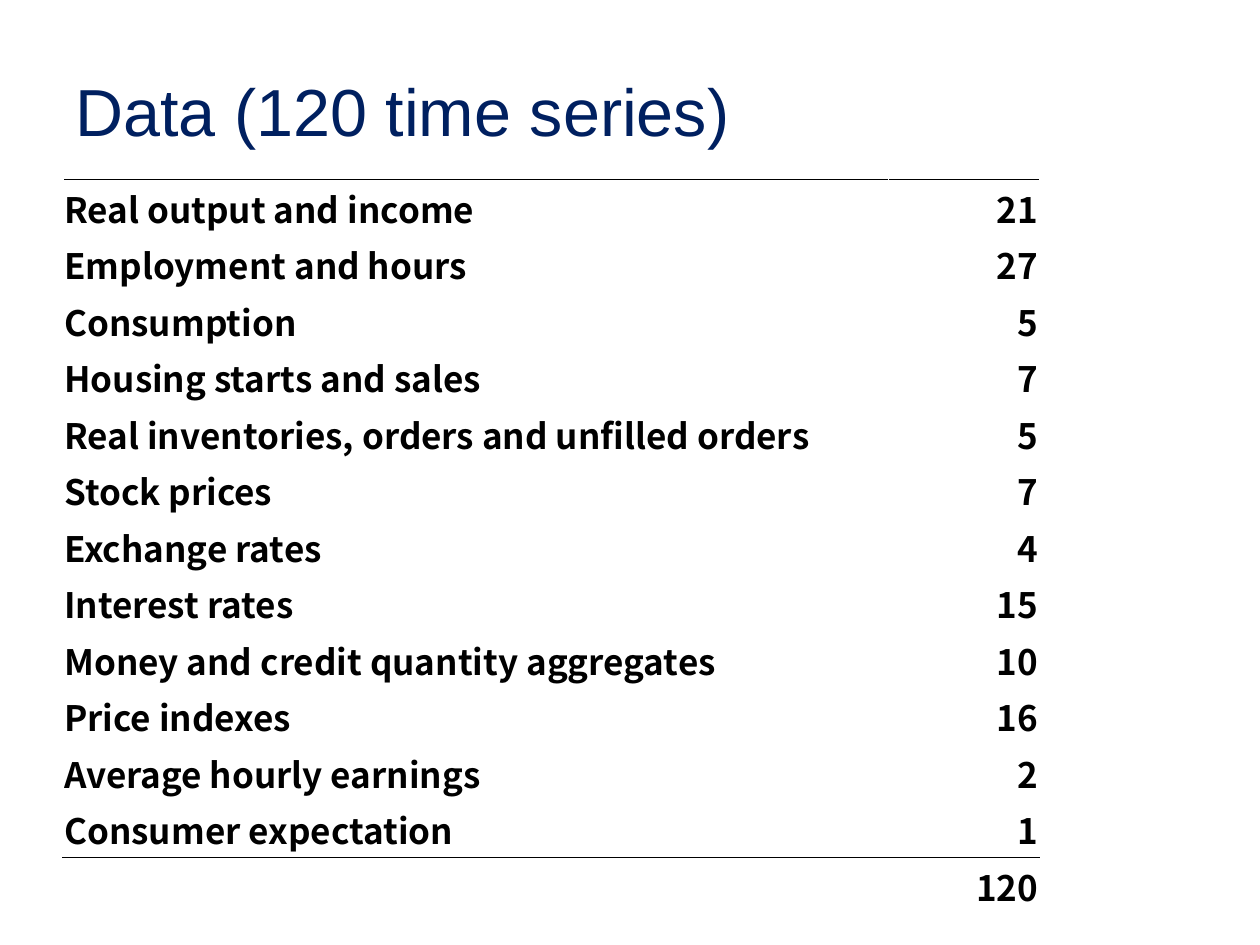
from dataclasses import dataclass

from lxml import etree
from pptx import Presentation
from pptx.dml.color import RGBColor
from pptx.enum import text
from pptx.oxml import ns
from pptx.util import Inches, Pt


@dataclass(frozen=True)
class Theme:
    """Colours, fonts and sizes of the deck."""
    title = {"name": "Arial", "size": Pt(38), "bold": False}
    title_colour = RGBColor.from_string("002060")
    body = {"name": "Noto Sans CJK SC", "size": Pt(20), "bold": True}
    body_colour = RGBColor.from_string("000000")
    rule_width = Pt(0.5)


THEME = Theme()
TITLE = "Data (120 time series)"
SERIES = [
    ("Real output and income", 21),
    ("Employment and hours", 27),
    ("Consumption", 5),
    ("Housing starts and sales", 7),
    ("Real inventories, orders and unfilled orders", 5),
    ("Stock prices", 7),
    ("Exchange rates", 4),
    ("Interest rates", 15),
    ("Money and credit quantity aggregates", 10),
    ("Price indexes", 16),
    ("Average hourly earnings", 2),
    ("Consumer expectation", 1),
]


def set_values(target, values):
    """Set each named attribute of the target."""
    for name, value in values.items():
        setattr(target, name, value)


def write(para, words, font, colour):
    """Add one formatted span to a paragraph."""
    span = para.add_run()
    span.text = words
    set_values(span.font, font)
    span.font.color.rgb = colour


def add_title(page, left, top, width, height):
    """Place the title, centred vertically in its box."""
    frame = page.shapes.add_textbox(left, top, width, height).text_frame
    set_values(frame, {"word_wrap": True, "vertical_anchor": text.MSO_ANCHOR.MIDDLE})
    write(frame.paragraphs[0], TITLE, THEME.title, THEME.title_colour)


def rule_cell(cell, edge):
    """Draw a thin rule on one edge of a cell: T or B."""
    line = etree.Element(ns.qn(f"a:ln{edge}"), w=str(THEME.rule_width))
    fill = etree.SubElement(line, ns.qn("a:solidFill"))
    etree.SubElement(fill, ns.qn("a:srgbClr"), val=str(THEME.body_colour))
    cell._tc.get_or_add_tcPr().insert(0, line)


def fill_cell(cell, words, align):
    """Format one cell and write its words."""
    edge = Inches(0.01)
    set_values(cell, {
        "margin_left": edge, "margin_top": edge, "margin_right": edge,
        "margin_bottom": 0, "vertical_anchor": text.MSO_ANCHOR.MIDDLE})
    cell.fill.background()
    para = cell.text_frame.paragraphs[0]
    para.alignment = align
    if words:
        write(para, words, THEME.body, THEME.body_colour)


def add_series_table(page, left, top, width, height):
    """Place the table of series counts with its total below a rule."""
    rows = SERIES + [("", sum(count for _, count in SERIES))]
    table = page.shapes.add_table(len(rows), 2, left, top, width, height).table
    set_values(table, {"first_row": False, "horz_banding": False})
    count_width = Inches(1.2)
    table.columns[0].width = width - count_width
    table.columns[1].width = count_width
    aligns = (text.PP_ALIGN.LEFT, text.PP_ALIGN.RIGHT)
    rules = {0: "T", len(rows) - 2: "B", len(rows) - 1: "T"}
    for index, row in enumerate(rows):
        for column, (value, align) in enumerate(zip(row, aligns)):
            cell = table.cell(index, column)
            fill_cell(cell, str(value), align)
            if index in rules:
                rule_cell(cell, rules[index])


def main():
    """Build the deck and save it."""
    deck = Presentation()
    set_values(deck, {"slide_width": Inches(10), "slide_height": Inches(7.5)})
    page = deck.slides.add_slide(deck.slide_layouts[6])
    add_title(page, Inches(0.5), Inches(0.25), Inches(8.76), Inches(1.25))
    add_series_table(page, Inches(0.5), Inches(1.42), Inches(7.75), Inches(5.83))
    deck.save("out.pptx")


if __name__ == "__main__":
    main()
